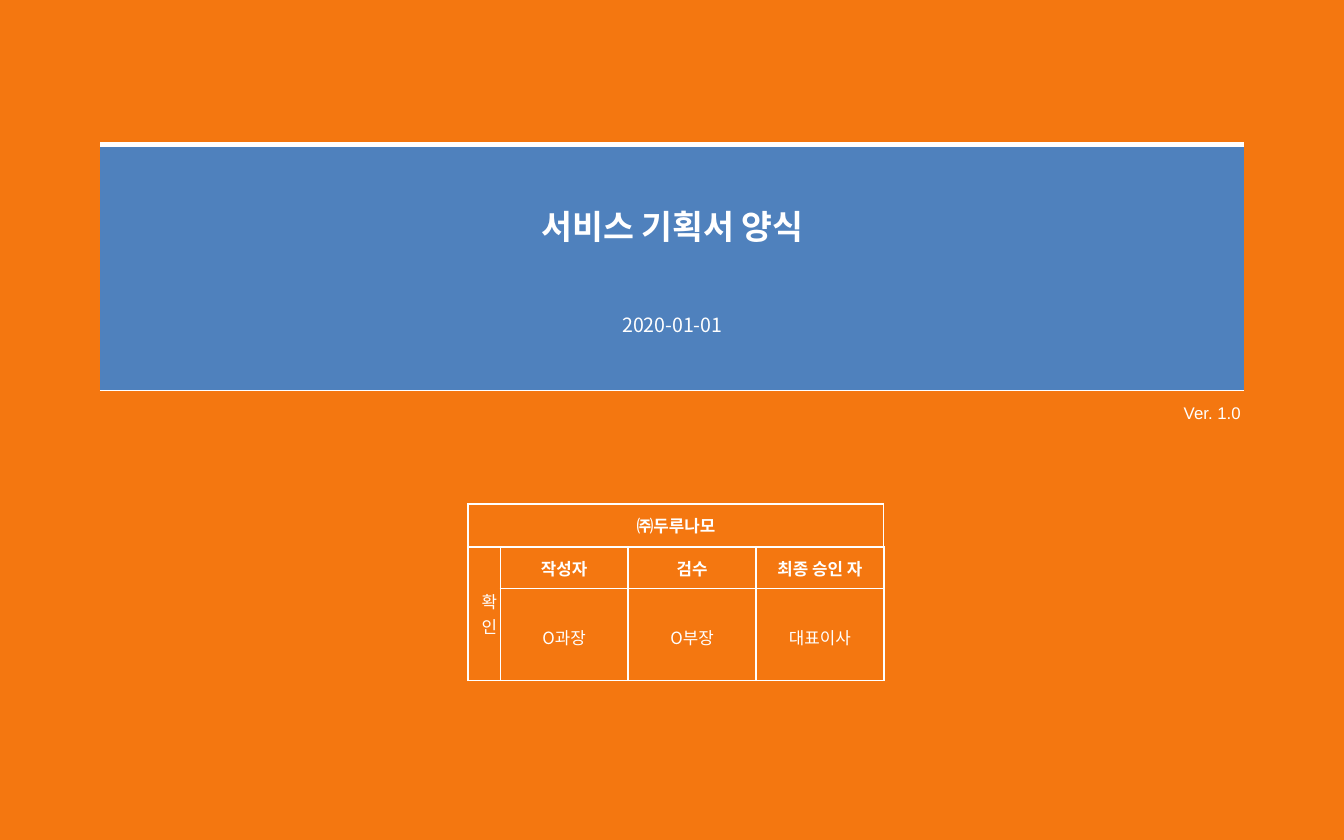
from lxml import etree
from pptx import Presentation
from pptx.dml.color import RGBColor
from pptx.enum import text
from pptx.oxml import ns
from pptx.util import Pt

WHITE, ORANGE, BLUE = "FFFFFF", "F47710", "4F81BD"
KOREAN = "Noto Sans CJK KR"


def write(frame, lines, size, font, bold=False, align="CENTER", spacing=1.0):
    frame.word_wrap = True
    frame.vertical_anchor = text.MSO_ANCHOR.MIDDLE
    for index, line in enumerate(lines):
        para = frame.paragraphs[0] if index == 0 else frame.add_paragraph()
        para.alignment = text.PP_ALIGN[align]
        para.line_spacing = spacing
        span = para.add_run()
        span.text = line
        for name, value in {"size": Pt(size), "name": font, "bold": bold}.items():
            setattr(span.font, name, value)
        span.font.color.rgb = RGBColor.from_string(WHITE)
        east_asian = etree.SubElement(span.font._element, ns.qn("a:ea"))
        east_asian.set("typeface", KOREAN)


def set_borders(cell, left, right, top, bottom):
    properties = cell._tc.get_or_add_tcPr()
    sides = {"lnL": left, "lnR": right, "lnT": top, "lnB": bottom}
    for index, (side, width) in enumerate(sides.items()):
        line = etree.Element(ns.qn("a:" + side), w=str(Pt(width)))
        if width:
            fill = etree.SubElement(line, ns.qn("a:solidFill"))
            etree.SubElement(fill, ns.qn("a:srgbClr"), val=WHITE)
        else:
            etree.SubElement(line, ns.qn("a:noFill"))
        properties.insert(index, line)


deck = Presentation()
deck.slide_width, deck.slide_height = Pt(720), Pt(450)
page = deck.slides.add_slide(deck.slide_layouts[5])
page.background.fill.solid()
page.background.fill.fore_color.rgb = RGBColor.from_string(ORANGE)

panel = page.shapes.add_table(1, 1, Pt(53.75), Pt(77.5), Pt(612.5), Pt(131.75)).table
approval = page.shapes.add_table(3, 4, Pt(250.75), Pt(270), Pt(222.55), Pt(94.5)).table
for table in (panel, approval):
    table.first_row = table.horz_banding = False

banner = panel.cell(0, 0)
banner.fill.solid()
banner.fill.fore_color.rgb = RGBColor.from_string(BLUE)
set_borders(banner, 0, 0, 3, 1)

for column, width in zip(approval.columns, (17.05, 68.5, 68.5, 68.5)):
    column.width = Pt(width)
for row, height in zip(approval.rows, (23, 22.5, 49)):
    row.height = Pt(height)
for r in range(3):
    for c in range(4):
        cell = approval.cell(r, c)
        cell.fill.background()
        set_borders(cell, 1 if c == 0 else 0.75, 1 if c == 3 else 0.75,
                    1 if r < 2 else 0.75, 0.75 if r == 1 else 1)
approval.cell(0, 0).merge(approval.cell(0, 3))
approval.cell(1, 0).merge(approval.cell(2, 0))

entries = [
    (0, 0, ["㈜두루나모"], True, 1.0),
    (1, 0, ["확", "인"], False, 1.0),
    (1, 1, ["작성자"], True, 1.0),
    (1, 2, ["검수"], True, 1.0),
    (1, 3, ["최종 승인 자"], True, 1.0),
    (2, 1, ["O과장"], False, 1.2),
    (2, 2, ["O부장"], False, 1.2),
    (2, 3, ["대표이사"], False, 1.2),
]
for r, c, lines, bold, spacing in entries:
    cell = approval.cell(r, c)
    write(cell.text_frame, lines, 9, KOREAN, bold, spacing=spacing)
    cell.vertical_anchor = text.MSO_ANCHOR.MIDDLE

title = page.shapes.title
title_place = {"left": 14.25, "top": 102.25, "width": 692, "height": 38}
for name, value in title_place.items():
    setattr(title, name, Pt(value))
page.shapes.element.append(title.element)
title.text_frame.auto_size = text.MSO_AUTO_SIZE.NONE
write(title.text_frame, ["서비스 기획서 양식"], 18, "Arial", True)

date = page.shapes.add_textbox(Pt(14.25), Pt(155.5), Pt(692), Pt(38))
write(date.text_frame, ["2020-01-01"], 10.5, KOREAN, spacing=0.9)
version = page.shapes.add_textbox(Pt(48.25), Pt(208), Pt(623.5), Pt(28))
write(version.text_frame, ["Ver. 1.0"], 9, "Arial", align="RIGHT", spacing=0.9)

deck.save("out.pptx")
